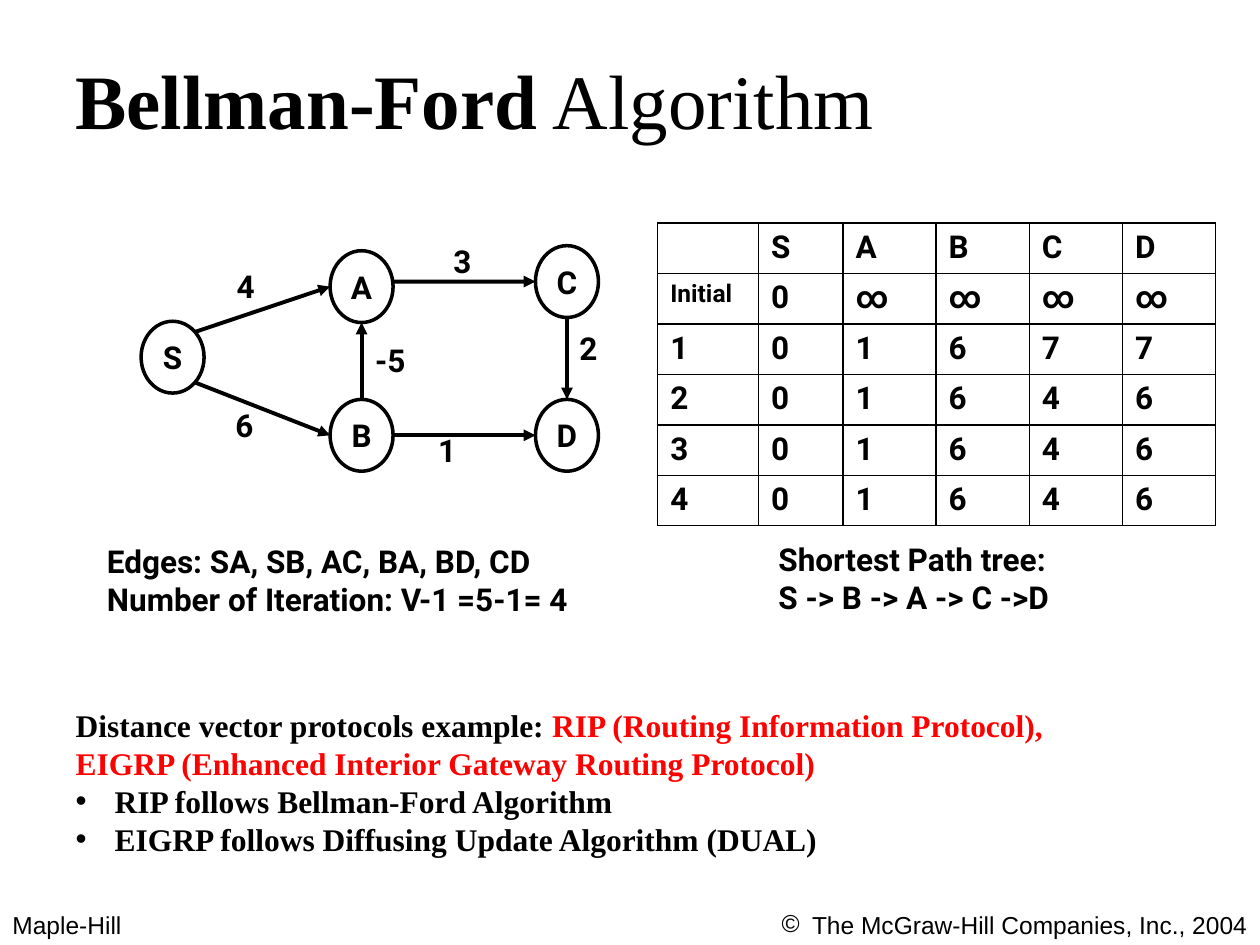
from lxml.etree import SubElement as Sub
from pptx import Presentation
from pptx.dml.color import RGBColor
from pptx.enum.shapes import MSO_CONNECTOR as Conn, MSO_SHAPE as Kind
from pptx.enum.text import MSO_ANCHOR as Anchor, MSO_AUTO_SIZE as Auto, PP_ALIGN as Align
from pptx.oxml.ns import qn
from pptx.util import Inches, Pt

BLACK, WHITE, RED = "000000", "FFFFFF", "FF0000"
SANS, SERIF, FOOT = "Roboto", "Times New Roman", "Arial"

TITLE = [("Bellman-Ford", True), (" Algorithm", False)]
SIZE = 0.5, 0.57
NODES = {"S": (1.12, 2.55), "A": (2.62, 1.99), "B": (2.62, 3.17),
         "C": (4.25, 1.95), "D": (4.25, 3.17)}
TOP, LEFT, LOW, RIGHT = (0.5, 0), (0, 0.5), (0.5, 1), (1, 0.5)
EDGES = [
    ("S", (0.85, 0.15), "A", LEFT, "4", (1.78, 2.07)),
    ("S", (0.85, 0.85), "B", LEFT, "6", (1.77, 3.17)),
    ("A", (1, 0.43), "C", LEFT, "3", (3.5, 1.87)),
    ("B", RIGHT, "D", LEFT, "1", (3.38, 3.37)),
    ("C", LOW, "D", TOP, "2", (4.5, 2.56)),
    ("B", TOP, "A", LOW, "-5", (2.88, 2.66)),
]
COLS = [0.8, 0.67] + [0.74] * 4
ROWS = [
    ["", "S", "A", "B", "C", "D"],
    ["Initial", "0", "∞", "∞", "∞", "∞"],
    ["1", "0", "1", "6", "7", "7"],
    ["2", "0", "1", "6", "4", "6"],
    ["3", "0", "1", "6", "4", "6"],
    ["4", "0", "1", "6", "4", "6"],
]
NOTES = [
    ((0.75, 4.25, 4.75, 0.71),
     ["Edges: SA, SB, AC, BA, BD, CD", "Number of Iteration: V-1 =5-1= 4"]),
    ((6.08, 4.24, 3.17, 0.71), ["Shortest Path tree:", "S -> B -> A -> C ->D"]),
]
BODY = [
    ("", [("Distance vector protocols example: ", BLACK),
          ("RIP (Routing Information Protocol),", RED)]),
    ("", [("EIGRP (Enhanced Interior Gateway Routing Protocol)", RED)]),
    ("•", [("RIP follows Bellman-Ford Algorithm", BLACK)]),
    ("•", [("EIGRP follows Diffusing Update Algorithm (DUAL)", BLACK)]),
]
FEET = [
    ((0, 7.17, 2.42, 0.33), "Maple-Hill", Align.LEFT, ""),
    ((5, 7.17, 5, 0.33), "The McGraw-Hill Companies, Inc., 2004", Align.RIGHT, "©"),
]


def paint(font, tone):
    font.color.rgb = RGBColor.from_string(tone)


def style(par, face=SANS, size=18, bold=True):
    font = par.font
    font.name, font.size, font.bold = face, Pt(size), bold
    paint(font, BLACK)


def mark(par, char, gap):
    props = par._p.get_or_add_pPr()
    room = Inches(gap) if char else 0
    props.set("marL", str(room))
    props.set("indent", str(-room))
    if char:
        face = Sub(props, qn("a:buFont"))
        face.set("typeface", FOOT)
        Sub(props, qn("a:buChar")).set("char", char)
    else:
        Sub(props, qn("a:buNone"))


def place(shape, box):
    shape.left, shape.top, shape.width, shape.height = map(Inches, box)


def write(slide, box, lines, **look):
    frame = slide.shapes.add_textbox(*map(Inches, box)).text_frame
    frame.word_wrap = True
    frame.text = "\n".join(lines)
    for par in frame.paragraphs:
        style(par, **look)
    return frame


def head(slide):
    title = slide.shapes.title
    place(title, (0.5, 0.3, 9, 1.25))
    frame = title.text_frame
    frame.vertical_anchor = Anchor.TOP
    frame.margin_top = Inches(0.12)
    par = frame.paragraphs[0]
    par.alignment = Align.LEFT
    style(par, SERIF, 44, False)
    for text, bold in TITLE:
        run = par.add_run()
        run.text, run.font.bold = text, bold


def graph(slide):
    for name, spot in NODES.items():
        node = slide.shapes.add_shape(Kind.OVAL, *map(Inches, spot + SIZE))
        node.shadow.inherit = False
        node.fill.solid()
        node.fill.fore_color.rgb = RGBColor.from_string(WHITE)
        paint(node.line, BLACK)
        node.line.width = Pt(2)
        frame = node.text_frame
        frame.word_wrap = False
        frame.text = name
        frame.paragraphs[0].alignment = Align.CENTER
        style(frame.paragraphs[0])
    for start, out, end, into, cost, spot in EDGES:
        ends = [Inches(pos + share * side)
                for name, port in ((start, out), (end, into))
                for pos, share, side in zip(NODES[name], port, SIZE)]
        edge = slide.shapes.add_connector(Conn.STRAIGHT, *ends)
        paint(edge.line, BLACK)
        edge.line.width = Pt(2.25)
        Sub(edge.line._get_or_add_ln(), qn("a:tailEnd")).set("type", "triangle")
        Sub(edge._element.spPr, qn("a:effectLst"))
        write(slide, spot + (0.5, 0.4), [cost])


def border(cell):
    props = cell._tc.get_or_add_tcPr()
    for spot, side in enumerate(("lnL", "lnR", "lnT", "lnB")):
        line = Sub(props, qn("a:" + side))
        line.set("w", str(Pt(1)))
        fill = Sub(line, qn("a:solidFill"))
        Sub(fill, qn("a:srgbClr")).set("val", BLACK)
        props.insert(spot, line)


def costs(slide):
    box = 5.22, 1.77, sum(COLS), 0.4 * len(ROWS)
    grid = slide.shapes.add_table(len(ROWS), len(COLS), *map(Inches, box)).table
    for col, width in zip(grid.columns, COLS):
        col.width = Inches(width)
    for r, row in enumerate(ROWS):
        for c, text in enumerate(row):
            cell = grid.cell(r, c)
            cell.text = text
            cell.fill.background()
            border(cell)
            style(cell.text_frame.paragraphs[0], size=14 if text == "Initial" else 18)


def body(slide):
    shape = slide.placeholders[1]
    place(shape, (0.5, 5.55, 8.02, 1.31))
    frame = shape.text_frame
    frame.auto_size, frame.word_wrap = Auto.NONE, False
    for n, (char, runs) in enumerate(BODY):
        par = frame.add_paragraph() if n else frame.paragraphs[0]
        mark(par, char, 0.31)
        par.space_before, par.line_spacing = Pt(0), Pt(21.7)
        style(par, SERIF)
        for text, tone in runs:
            run = par.add_run()
            run.text = text
            paint(run.font, tone)


def main():
    deck = Presentation()
    deck.slide_width, deck.slide_height = Inches(10), Inches(7.5)
    slide = deck.slides.add_slide(deck.slide_layouts[1])
    head(slide)
    graph(slide)
    costs(slide)
    for box, lines in NOTES:
        write(slide, box, lines)
    body(slide)
    for box, text, side, char in FEET:
        par = write(slide, box, [text], face=FOOT, size=14, bold=False).paragraphs[0]
        par.alignment = side
        if char:
            par._p.pPr.remove(par._p.pPr.find(qn("a:defRPr")))
            mark(par, char, 0.24)
            style(par, FOOT, 14, False)
    deck.save("out.pptx")


if __name__ == "__main__":
    main()
